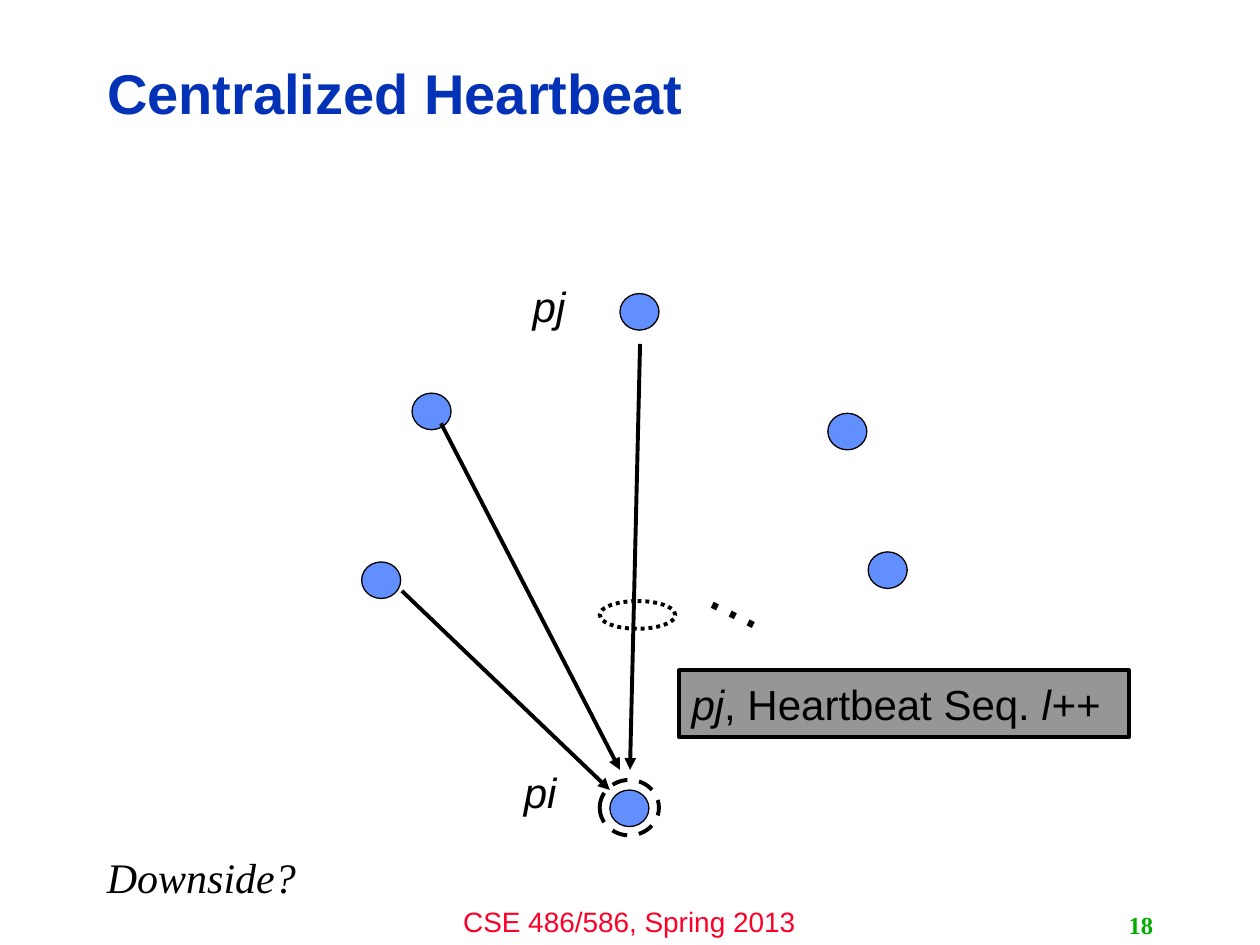
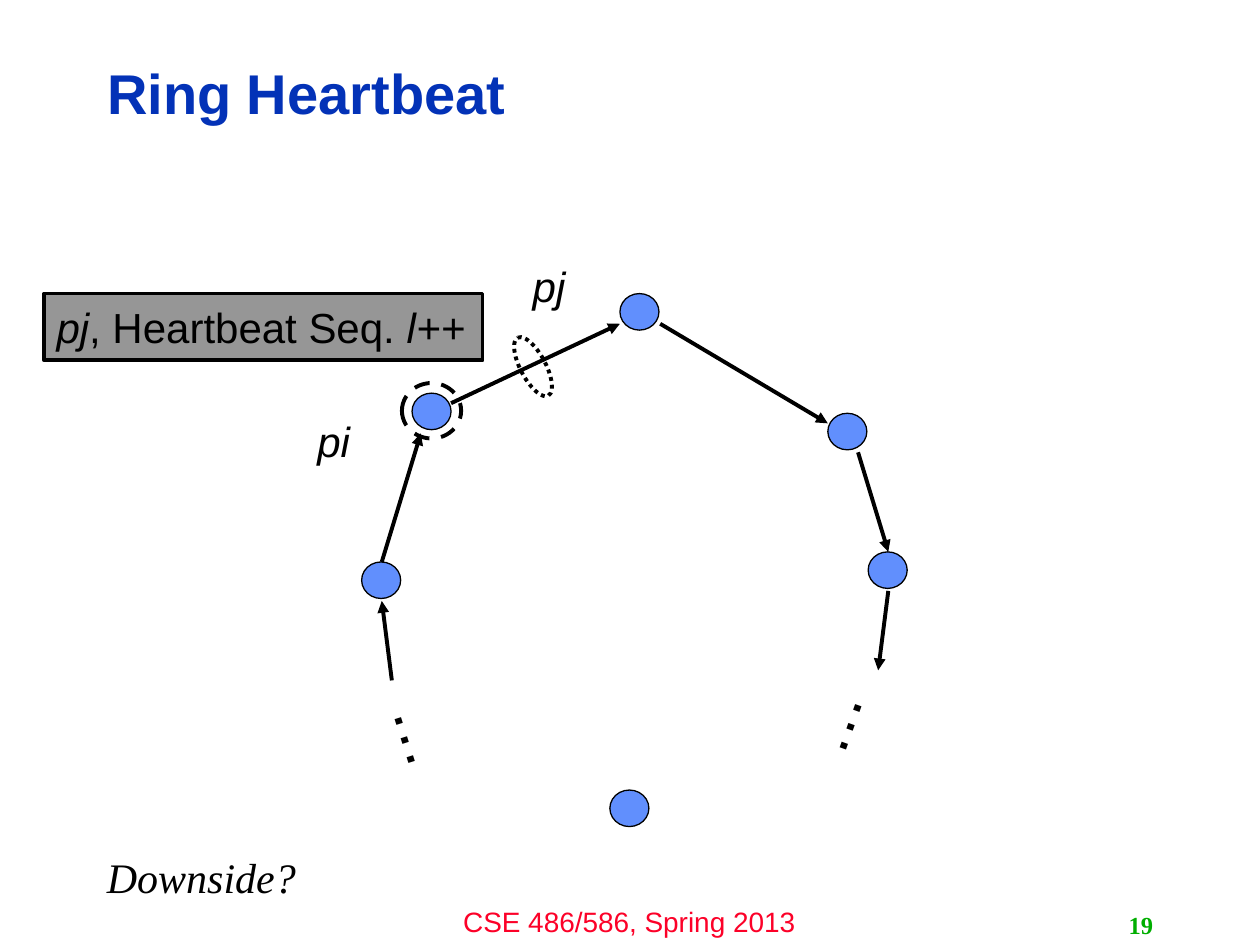
from dataclasses import dataclass

from lxml.etree import SubElement
from pptx import Presentation
from pptx.dml.color import RGBColor
from pptx.enum.dml import MSO_LINE
from pptx.enum.shapes import MSO_CONNECTOR, MSO_SHAPE
from pptx.enum.text import MSO_ANCHOR, MSO_AUTO_SIZE, PP_ALIGN
from pptx.oxml.ns import qn
from pptx.util import Emu, Pt

PX = 9144
NODE_SIZE = (31, 29)
HALO_SIZE = (47, 44)
RING_NODES = [(657, 328), (327, 312), (287, 446), (689, 438), (492, 233)]
BOTTOM_NODE = (484, 627)


@dataclass(frozen=True)
class Theme:
    """Colours, fonts and type sizes of the presentation."""
    title: str = "0332B7"
    footer: str = "FC0128"
    number: str = "00AE00"
    ink: str = "000000"
    node: str = "618FFD"
    message: str = "969696"
    sans: str = "Arial"
    serif: str = "Times New Roman"
    title_size: int = 32
    dots_size: int = 36
    label_size: int = 24
    footer_size: int = 16
    number_size: int = 14
    thin: float = 0.75
    thick: float = 2.25


def px(*lengths):
    """Turn px lengths into EMU."""
    return [Emu(length * PX) for length in lengths]


class Deck:
    """Hold the theme and the current slide, and draw each kind of element."""

    def __init__(self, theme):
        """Start an empty presentation."""
        self.theme = theme
        self.presentation = Presentation()
        self.presentation.slide_width, self.presentation.slide_height = px(1000, 750)
        self.slide = None

    def style(self, paragraph, size, color, name=None, bold=False, italic=None):
        """Set the font of a whole paragraph."""
        font = paragraph.font
        font.name, font.size = name or self.theme.sans, Pt(size)
        font.bold, font.italic = bold, italic
        font.color.rgb = RGBColor.from_string(color)

    def outline(self, shape, width, dash=None):
        """Give a shape or connector its line."""
        shape.line.color.rgb = RGBColor.from_string(self.theme.ink)
        shape.line.width = Pt(width)
        if dash:
            shape.line.dash_style = dash

    def start_slide(self, title, number):
        """Add a slide with its title, footer and number."""
        theme = self.theme
        self.slide = self.presentation.slides.add_slide(self.presentation.slide_layouts[5])
        shape = self.slide.shapes.title
        shape.left, shape.top, shape.width, shape.height = px(75, 36, 798, 81)
        frame = shape.text_frame
        frame.text = title
        frame.auto_size = MSO_AUTO_SIZE.NONE
        frame.vertical_anchor = MSO_ANCHOR.MIDDLE
        paragraph = frame.paragraphs[0]
        paragraph.alignment, paragraph.line_spacing = PP_ALIGN.LEFT, 0.9
        self.style(paragraph, theme.title_size, theme.title, bold=True)
        self.text("CSE 486/586, Spring 2013", (333, 713, 333, 37), theme.footer_size,
                  theme.footer, align=PP_ALIGN.CENTER, wrap=True)
        self.text(str(number), (717, 718, 208, 32), theme.number_size, theme.number,
                  name=theme.serif, bold=True, align=PP_ALIGN.RIGHT, wrap=True)

    def text(self, words, box, size, color, align=PP_ALIGN.LEFT, wrap=False, angle=0, **font):
        """Add a text box of one paragraph."""
        shape = self.slide.shapes.add_textbox(*px(*box))
        shape.rotation = angle
        frame = shape.text_frame
        frame.text = words
        frame.word_wrap = wrap
        frame.vertical_anchor = MSO_ANCHOR.MIDDLE
        frame.paragraphs[0].alignment = align
        self.style(frame.paragraphs[0], size, color, **font)

    def label(self, words, left, top):
        """Add the name of a process."""
        self.text(words, (left, top, 46, 50), self.theme.label_size, self.theme.ink, italic=True)

    def question(self, words):
        """Add the closing question."""
        self.text(words, (75, 671, 170, 50), self.theme.label_size, self.theme.ink,
                  name=self.theme.serif, italic=True)

    def dots(self, left, top, angle):
        """Add a turned ellipsis."""
        self.text("…", (left, top, 70, 70), self.theme.dots_size, self.theme.ink, angle=angle)

    def node(self, left, top, shapes=None):
        """Add a process, on the slide or in a group."""
        shapes = shapes or self.slide.shapes
        shape = shapes.add_shape(MSO_SHAPE.OVAL, *px(left, top, *NODE_SIZE))
        shape.shadow.inherit = False
        shape.fill.solid()
        shape.fill.fore_color.rgb = RGBColor.from_string(self.theme.node)
        self.outline(shape, self.theme.thin)

    def nodes(self):
        """Add the grouped processes and the one at the bottom."""
        group = self.slide.shapes.add_group_shape()
        for left, top in RING_NODES:
            self.node(left, top, group.shapes)
        self.node(*BOTTOM_NODE)

    def ring(self, box, dash, angle=0):
        """Add an unfilled ellipse with a broken line."""
        shape = self.slide.shapes.add_shape(MSO_SHAPE.OVAL, *px(*box))
        shape.shadow.inherit = False
        shape.rotation = angle
        shape.fill.background()
        self.outline(shape, self.theme.thick, dash)

    def halo(self, node):
        """Add the dashed ring around a process."""
        left, top = node
        self.ring((left - 8, top - 8, *HALO_SIZE), MSO_LINE.DASH)

    def arrow(self, *ends):
        """Add an arrow from the first point to the second."""
        connector = self.slide.shapes.add_connector(MSO_CONNECTOR.STRAIGHT, *px(*ends))
        self.outline(connector, self.theme.thick)
        SubElement(connector.line._get_or_add_ln(), qn("a:tailEnd"), type="triangle")
        SubElement(connector._element.spPr, qn("a:effectLst"))

    def message(self, left, top, width):
        """Add the box with the heartbeat message."""
        shape = self.slide.shapes.add_shape(MSO_SHAPE.RECTANGLE, *px(left, top, width, 53))
        shape.shadow.inherit = False
        shape.fill.solid()
        shape.fill.fore_color.rgb = RGBColor.from_string(self.theme.message)
        self.outline(shape, self.theme.thick)
        shape.text_frame.word_wrap = True
        paragraph = shape.text_frame.paragraphs[0]
        paragraph.alignment = PP_ALIGN.LEFT
        self.style(paragraph, self.theme.label_size, self.theme.ink)
        for words, italic in [("pj", True), (", Heartbeat Seq. ", False), ("l++", True)]:
            run = paragraph.add_run()
            run.text, run.font.italic = words, italic


def add_centralized(deck):
    """Draw every process reporting to one."""
    deck.start_slide("Centralized Heartbeat", 18)
    deck.nodes()
    for ends in [(319, 469, 484, 627), (350, 336, 492, 611), (508, 273, 500, 611)]:
        deck.arrow(*ends)
    deck.dots(555, 438, 26.2)
    deck.message(539, 532, 357)
    deck.ring((495, 458, 22, 60), MSO_LINE.ROUND_DOT, 90)
    deck.halo(BOTTOM_NODE)
    deck.label("pj", 413, 218)
    deck.label("pi", 406, 603)
    deck.question("Downside?")


def add_ring(deck):
    """Draw each process reporting to the next."""
    deck.start_slide("Ring Heartbeat", 19)
    deck.nodes()
    for ends in [(303, 446, 334, 344), (358, 320, 492, 257), (524, 257, 657, 336),
                 (311, 540, 303, 477), (681, 359, 705, 438), (705, 469, 697, 532)]:
        deck.arrow(*ends)
    deck.message(35, 233, 348)
    deck.ring((397, 281, 52, 20), MSO_LINE.ROUND_DOT, 62.2)
    deck.halo(RING_NODES[1])
    deck.label("pj", 413, 202)
    deck.label("pi", 242, 325)
    deck.dots(657, 548, 109.7)
    deck.dots(303, 548, 72.5)
    deck.question("Downside?")


def main():
    """Build and save the slides."""
    deck = Deck(Theme())
    add_centralized(deck)
    add_ring(deck)
    deck.presentation.save("out.pptx")


if __name__ == "__main__":
    main()
